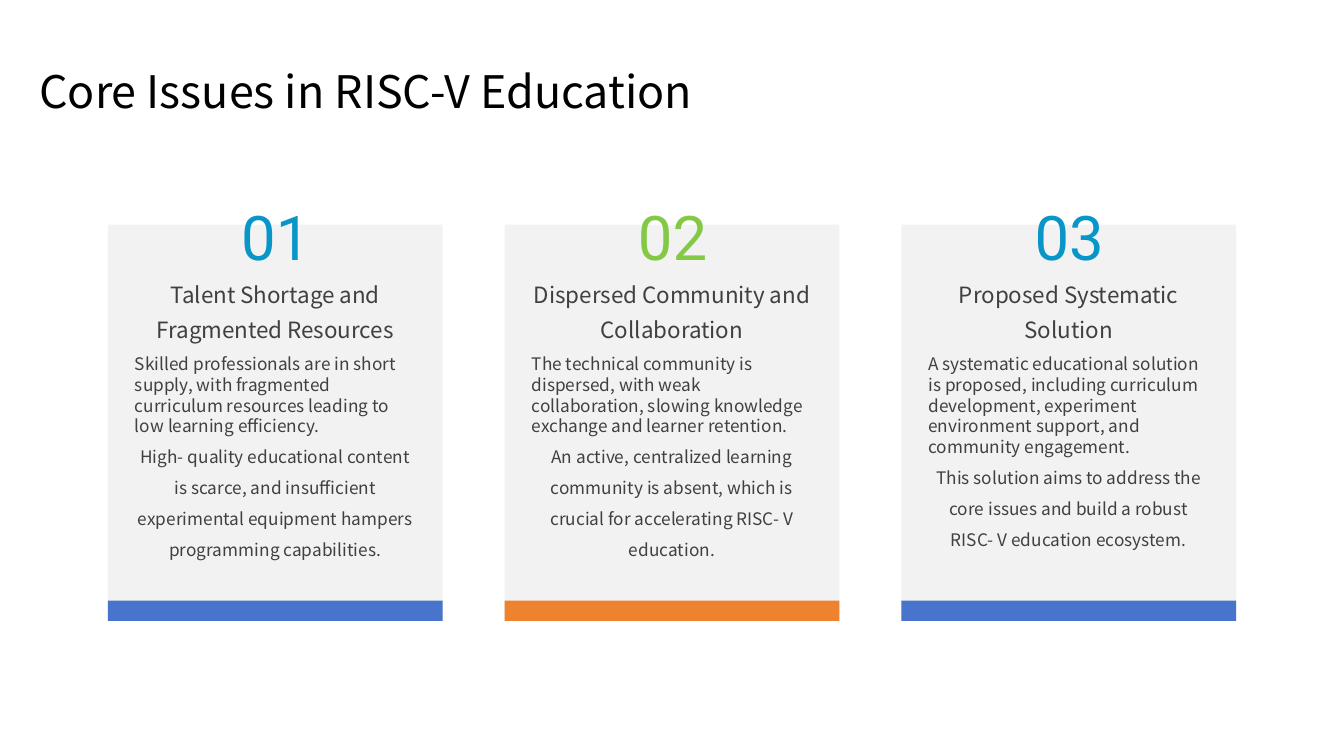
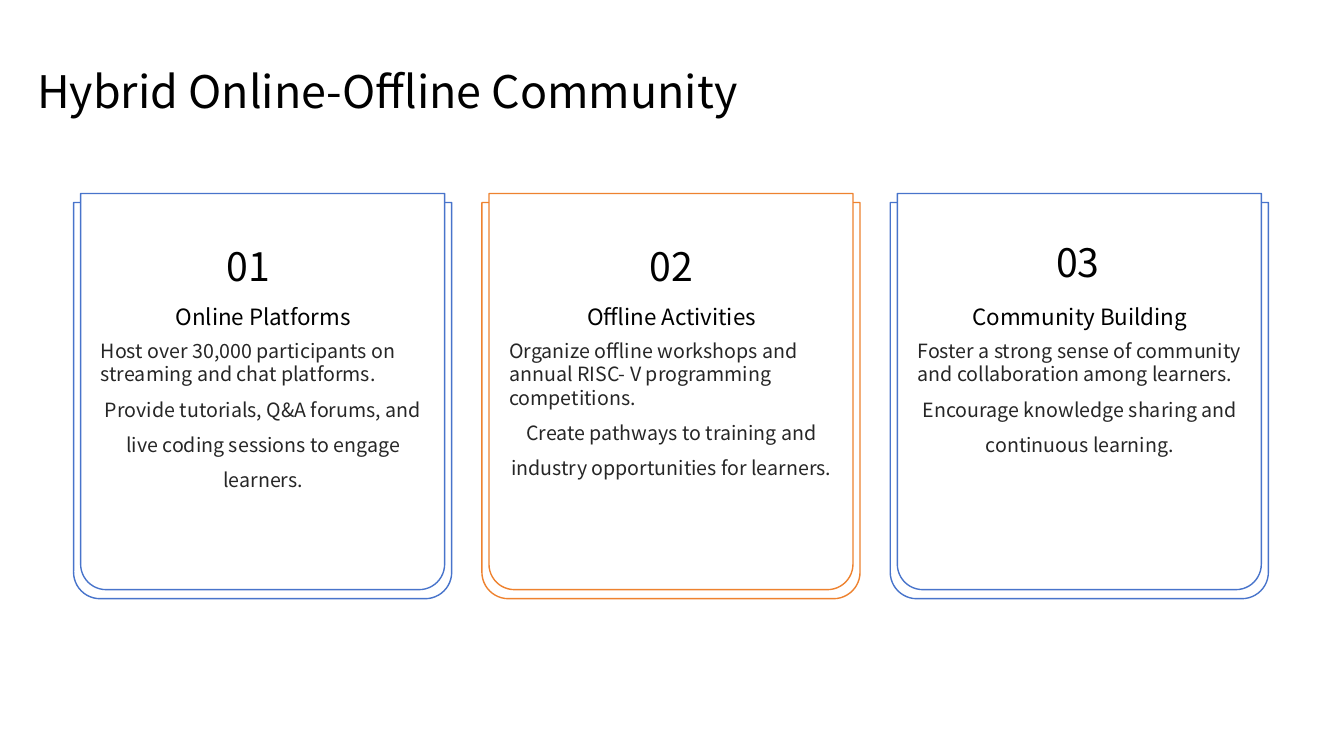
"""Build two three-card slides on RISC-V education and its community."""
from pptx import Presentation
from pptx.dml.color import RGBColor
from pptx.enum.shapes import MSO_SHAPE
from pptx.enum.text import MSO_ANCHOR, MSO_AUTO_SIZE, PP_ALIGN
from pptx.util import Inches, Pt

RECT, ROUNDED_PAIR = MSO_SHAPE.RECTANGLE, MSO_SHAPE.ROUND_2_SAME_RECTANGLE
TOP, MIDDLE, BOTTOM = MSO_ANCHOR.TOP, MSO_ANCHOR.MIDDLE, MSO_ANCHOR.BOTTOM
LEFT, CENTER = PP_ALIGN.LEFT, PP_ALIGN.CENTER
GROW = MSO_AUTO_SIZE.SHAPE_TO_FIT_TEXT

COLORS = {
    "black": "000000", "white": "FFFFFF", "panel": "F2F2F2",
    "gray": "404040", "ink": "262626",
    "blue": "4874CB", "orange": "EE822F", "cyan": "0896C8", "green": "84C945",
}
BODY_FONT, NUMBER_FONT = "Noto Sans CJK SC", "Roboto"
HEADING_FORMAT = [(CENTER, 1.3)]
BODY_FORMAT = [(LEFT, 1.0), (CENTER, 1.5)]


def add_panel(slide, preset, box, fill, line=None):
    panel = slide.shapes.add_shape(preset, *map(Inches, box))
    panel.shadow.inherit = False
    panel.fill.solid()
    panel.fill.fore_color.rgb = RGBColor.from_string(COLORS[fill])
    if line:
        panel.line.color.rgb = RGBColor.from_string(COLORS[line])
        panel.line.width = Pt(1)
    else:
        panel.line.fill.background()
    return panel


def add_text(slide, box, texts, formats, size, color, anchor=TOP, font=BODY_FONT, inset=True):
    textbox = slide.shapes.add_textbox(*map(Inches, box))
    frame = textbox.text_frame
    frame.word_wrap = True
    frame.vertical_anchor = anchor
    if not inset:
        frame.margin_left = frame.margin_right = frame.margin_top = frame.margin_bottom = 0
    for index, (text, (alignment, spacing)) in enumerate(zip(texts, formats)):
        paragraph = frame.add_paragraph() if index else frame.paragraphs[0]
        paragraph.alignment = alignment
        paragraph.line_spacing = spacing
        run = paragraph.add_run()
        run.text = text
        run.font.size = Pt(size)
        run.font.name = font
        run.font.color.rgb = RGBColor.from_string(COLORS[color])
    return frame


issues = [
    ("01", "cyan", "blue", "Talent Shortage and Fragmented Resources", [
        "Skilled professionals are in short supply, with fragmented curriculum "
        "resources leading to low learning efficiency.",
        "High- quality educational content is scarce, and insufficient "
        "experimental equipment hampers programming capabilities."]),
    ("02", "green", "orange", "Dispersed Community and Collaboration", [
        "The technical community is dispersed, with weak collaboration, slowing "
        "knowledge exchange and learner retention.",
        "An active, centralized learning community is absent, which is crucial "
        "for accelerating RISC- V education."]),
    ("03", "cyan", "blue", "Proposed Systematic Solution", [
        "A systematic educational solution is proposed, including curriculum "
        "development, experiment environment support, and community engagement.",
        "This solution aims to address the core issues and build a robust "
        "RISC- V education ecosystem."]),
]
channels = [
    ("01", 0.84, 2.37, "blue", "Online Platforms", [
        "Host over 30,000 participants on streaming and chat platforms.",
        "Provide tutorials, Q&A forums, and live coding sessions to engage learners."]),
    ("02", 5.04, 2.37, "orange", "Offline Activities", [
        "Organize offline workshops and annual RISC- V programming competitions.",
        "Create pathways to training and industry opportunities for learners."]),
    ("03", 9.07, 2.33, "blue", "Community Building", [
        "Foster a strong sense of community and collaboration among learners.",
        "Encourage knowledge sharing and continuous learning."]),
]

prs = Presentation()
prs.slide_width, prs.slide_height = Inches(13.33), Inches(7.5)
blank = prs.slide_layouts[6]
issues_slide, community_slide = (prs.slides.add_slide(blank) for _ in range(2))

for slide, title_left, title in [
    (issues_slide, 0.39, "Core Issues in RISC-V Education"),
    (community_slide, 0.37, "Hybrid Online-Offline Community"),
]:
    add_text(slide, (title_left, 0.61, 8.73, 0.47), [title], [(LEFT, 1.2)], 32, "black",
             MIDDLE, inset=False)

for column, (number, number_color, bar_color, heading, body) in enumerate(issues):
    left = 1.07 + column * 3.935
    add_panel(issues_slide, RECT, (left, 2.23, 3.32, 3.93), "panel")
    add_panel(issues_slide, RECT, (left, 5.96, 3.32, 0.2), bar_color)
    number_frame = add_text(issues_slide, (left + 0.97, 1.7, 1.39, 0.89), [number],
                            HEADING_FORMAT, 44, number_color, font=NUMBER_FONT)
    number_frame.auto_size = GROW
    add_text(issues_slide, (left + 0.16, 2.7, 3, 0.71), [heading], HEADING_FORMAT, 16,
             "gray", MIDDLE)
    add_text(issues_slide, (left + 0.17, 3.46, 2.98, 2.39), body, BODY_FORMAT, 12.3, "gray")

for column, (number, number_left, number_top, outline, heading, body) in enumerate(channels):
    left = 0.73 + column * 4.05
    for box in [(left, 2.01, 3.75, 3.93), (left + 0.07, 1.92, 3.61, 3.93)]:
        card = add_panel(community_slide, ROUNDED_PAIR, box, "white", outline)
        card.adjustments[0], card.adjustments[1] = 0, 0.07
    add_text(community_slide, (number_left, number_top, 3.24, 0.4), [number],
             HEADING_FORMAT, 28, "black", MIDDLE, inset=False)
    add_text(community_slide, (left + 0.27, 2.37, 3.22, 0.9), [heading], HEADING_FORMAT,
             16, "black", BOTTOM, inset=False)
    add_text(community_slide, (left + 0.27, 3.36, 3.22, 1.83), body, BODY_FORMAT, 14,
             "ink", inset=False)

prs.save("out.pptx")
